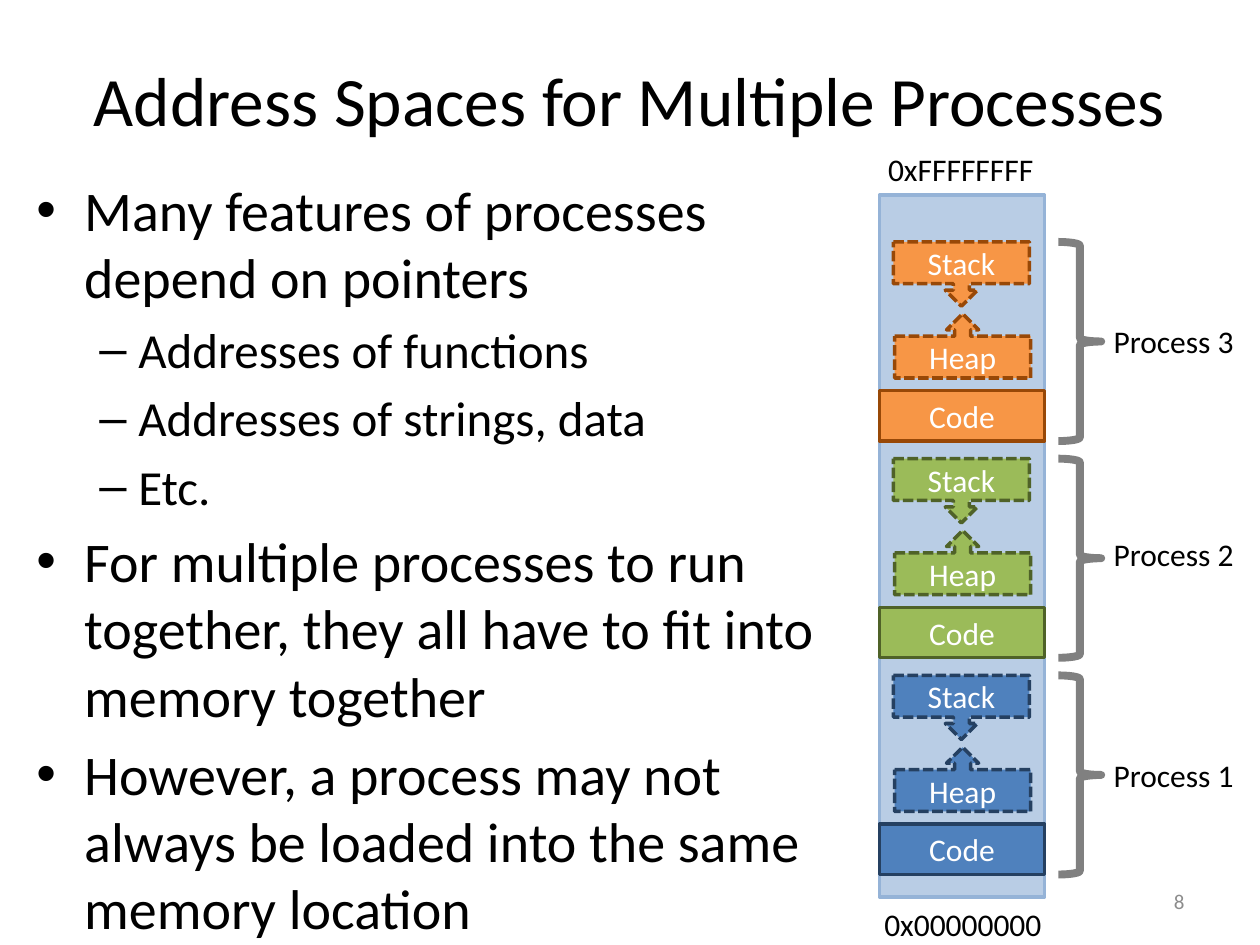
"""Build a slide on the address spaces of several processes in one memory."""
from dataclasses import dataclass

from lxml.etree import SubElement
from pptx import Presentation
from pptx.dml.color import RGBColor
from pptx.enum.dml import MSO_LINE as Dash
from pptx.enum.shapes import MSO_SHAPE as Preset
from pptx.enum.text import MSO_ANCHOR as Anchor, MSO_AUTO_SIZE as AutoSize, PP_ALIGN as Align
from pptx.oxml.ns import qn
from pptx.shapes.autoshape import Shape
from pptx.slide import Slide
from pptx.util import Inches, Pt

FONT = "Calibri"
MEMORY_LEFT, MEMORY_WIDTH = 6.98, 1.31
TOP_PROCESS, PROCESS_PITCH = 1.92, 1.72


@dataclass(frozen=True)
class Level:
    bullet: str
    size: float
    margin: float
    hanging: float


@dataclass(frozen=True)
class Process:
    name: str
    fill: str
    outline: str
    label_top: float


@dataclass(frozen=True)
class Segment:
    name: str
    preset: Preset
    left: float
    offset: float
    width: float
    height: float
    dashed: bool


POINT = Level("•", 32, 0.38, 0.38)
DETAIL = Level("–", 28, 0.81, 0.31)
OUTLINE = [
    (POINT, "Many features of processes depend on pointers"),
    (DETAIL, "Addresses of functions"),
    (DETAIL, "Addresses of strings, data"),
    (DETAIL, "Etc."),
    (POINT, "For multiple processes to run together, they all have to fit into memory together"),
    (POINT, "However, a process may not always be loaded into the same memory location"),
]
PROCESSES = [
    Process("Process 3", "F79646", "984807", 2.51),
    Process("Process 2", "9BBB59", "4F6228", 4.2),
    Process("Process 1", "4F81BD", "254061", 5.95),
]
SEGMENTS = [
    Segment("Code", Preset.RECTANGLE, MEMORY_LEFT, 1.18, MEMORY_WIDTH, 0.4, False),
    Segment("Heap", Preset.UP_ARROW_CALLOUT, 7.1, 0.57, 1.08, 0.51, True),
    Segment("Stack", Preset.DOWN_ARROW_CALLOUT, 7.09, 0, 1.08, 0.51, True),
]


def color(value: str) -> RGBColor:
    """Turn a hex string into a colour."""
    return RGBColor.from_string(value)


def write(paragraph, text: str, size: float, ink: str = "000000", align: Align = Align.LEFT) -> None:
    """Fill a paragraph with text in one style."""
    paragraph.text = text
    paragraph.alignment = align
    paragraph.font.name = FONT
    paragraph.font.size = Pt(size)
    paragraph.font.color.rgb = color(ink)


def add_text(slide: Slide, left: float, top: float, width: float, height: float,
             anchor: Anchor = Anchor.TOP):
    """Add a wrapping text box and return its frame."""
    frame = slide.shapes.add_textbox(*map(Inches, (left, top, width, height))).text_frame
    frame.word_wrap = True
    frame.vertical_anchor = anchor
    return frame


def add_label(slide: Slide, text: str, left: float, top: float, width: float) -> None:
    """Add a one-line label that does not wrap."""
    frame = add_text(slide, left, top, width, 0.4)
    frame.word_wrap = False
    frame.auto_size = AutoSize.SHAPE_TO_FIT_TEXT
    write(frame.paragraphs[0], text, 18)


def add_outline(slide: Slide) -> None:
    """Add the bulleted points and their details."""
    frame = add_text(slide, 0.19, 1.34, 6.7, 6.12)
    for index, (level, text) in enumerate(OUTLINE):
        paragraph = frame.add_paragraph() if index else frame.paragraphs[0]
        write(paragraph, text, level.size)
        paragraph.space_before = Pt(level.size * 0.2)
        properties = paragraph._p.get_or_add_pPr()
        properties.set("marL", str(Inches(level.margin)))
        properties.set("indent", str(-Inches(level.hanging)))
        bullet_font = SubElement(properties, qn("a:buFont"), typeface="Arial")
        bullet_font.addnext(properties.makeelement(qn("a:buChar"), {"char": level.bullet}))
        defaults = properties.find(qn("a:defRPr"))
        properties.append(defaults)


def add_preset(slide: Slide, preset: Preset, left: float, top: float, width: float, height: float,
               outline: str, weight: float, fill: str = "") -> Shape:
    """Add a flat preset shape, unfilled unless a fill is given."""
    shape = slide.shapes.add_shape(preset, *map(Inches, (left, top, width, height)))
    shape.shadow.inherit = False
    if fill:
        shape.fill.solid()
        shape.fill.fore_color.rgb = color(fill)
    else:
        shape.fill.background()
    shape.line.color.rgb = color(outline)
    shape.line.width = Pt(weight)
    return shape


def add_process(slide: Slide, process: Process, top: float) -> None:
    """Add the segments of one process with its brace and label."""
    for part in SEGMENTS:
        segment = add_preset(slide, part.preset, part.left, top + part.offset, part.width,
                             part.height, process.outline, 2, process.fill)
        if part.dashed:
            segment.line.dash_style = Dash.SQUARE_DOT
        segment.text_frame.vertical_anchor = Anchor.MIDDLE
        write(segment.text_frame.paragraphs[0], part.name, 18, "FFFFFF", Align.CENTER)
    brace = add_preset(slide, Preset.LEFT_BRACE, 8.4, top, 0.34, 1.58, "808080", 4.5)
    brace.rotation = 180
    add_label(slide, process.name, 8.74, process.label_top, 1.16)


def main() -> None:
    """Build and save the slide."""
    deck = Presentation()
    deck.slide_width, deck.slide_height = Inches(10), Inches(7.5)
    slide = deck.slides.add_slide(deck.slide_layouts[6])

    title = add_text(slide, 0.5, 0.16, 9, 1.25, Anchor.MIDDLE)
    write(title.paragraphs[0], "Address Spaces for Multiple Processes", 39.6, align=Align.CENTER)
    add_outline(slide)
    page_number = add_text(slide, 7.17, 6.95, 2.33, 0.4, Anchor.MIDDLE)
    write(page_number.paragraphs[0], "8", 12, "8C8C8C", Align.RIGHT)

    add_preset(slide, Preset.RECTANGLE, MEMORY_LEFT, 1.55, MEMORY_WIDTH, 5.57, "95B3D7", 2, "B9CDE5")
    add_label(slide, "0xFFFFFFFF", 6.95, 1.14, 1.36)
    add_label(slide, "0x00000000", 6.92, 7.13, 1.46)
    for index, process in enumerate(PROCESSES):
        add_process(slide, process, TOP_PROCESS + index * PROCESS_PITCH)

    deck.save("out.pptx")


if __name__ == "__main__":
    main()
